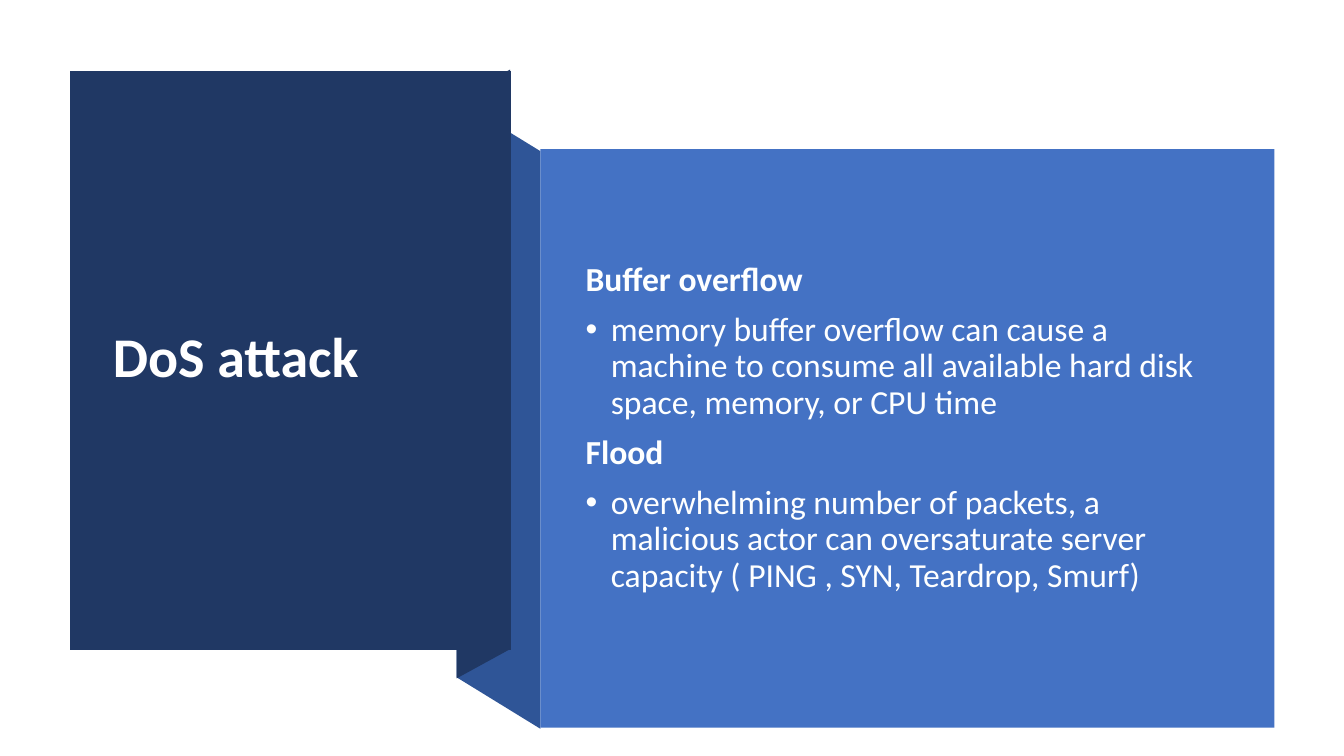
import pptx
import pptx.util
import pptx.dml.color
import pptx.enum.shapes
import pptx.enum.text
import pptx.oxml.ns
import lxml.etree

Inches = pptx.util.Inches
Pt = pptx.util.Pt

COLORS = {
    "navy": "203864",
    "fold": "2F5597",
    "panel": "4472C4",
    "title": "FFFFFF",
    "body": "FEFFFF",
}
FONT = "Calibri"
TITLE = "DoS attack"
TITLE_BOX = (1.02, 1.07, 3.71, 4.99)
PANEL_BOX = (5.36, 1.48, 7.28, 5.74)
BODY_BOX = (5.71, 1.88, 6.51, 4.74)
RIBBON = [
    ("fold", [(5.36, 7.23), (4.53, 6.72), (4.53, 0.99), (5.36, 1.5)]),
    ("navy", [(5.06, 6.44), (4.53, 6.73), (4.53, 0.98), (5.06, 0.69)]),
    ("navy", [(0.69, 0.7), (5.07, 0.7), (5.07, 6.45), (0.69, 6.45)]),
]
ATTACKS = [
    ("Buffer overflow",
     "memory buffer overflow can cause a machine to consume all available "
     "hard disk space, memory, or CPU time"),
    ("Flood",
     "overwhelming number of packets, a malicious actor can oversaturate "
     "server capacity ( PING , SYN, Teardrop, Smurf)"),
]


def rgb(name):
    return pptx.dml.color.RGBColor.from_string(COLORS[name])


def paint(shape, color):
    shape.shadow.inherit = False
    shape.fill.solid()
    shape.fill.fore_color.rgb = rgb(color)
    shape.line.fill.background()


def add_outline(slide, color, points):
    corners = [(Inches(x), Inches(y)) for x, y in points]
    builder = slide.shapes.build_freeform(*corners[0], scale=1.0)
    builder.add_line_segments(corners[1:], close=True)
    paint(builder.convert_to_shape(), color)


def prepare_frame(shape):
    frame = shape.text_frame
    frame.word_wrap = True
    frame.auto_size = pptx.enum.text.MSO_AUTO_SIZE.NONE
    frame.vertical_anchor = pptx.enum.text.MSO_ANCHOR.MIDDLE
    return frame


def add_bullet(paragraph):
    properties = paragraph._p.get_or_add_pPr()
    properties.set("marL", str(Inches(0.25)))
    properties.set("indent", str(Inches(-0.25)))
    for tag, key, value in (("a:buFont", "typeface", "Arial"), ("a:buChar", "char", "•")):
        lxml.etree.SubElement(properties, pptx.oxml.ns.qn(tag)).set(key, value)


def write(paragraph, text, size, color, bold):
    paragraph.alignment = pptx.enum.text.PP_ALIGN.LEFT
    paragraph.line_spacing = 0.9
    run = paragraph.add_run()
    run.text = text
    run.font.name = FONT
    run.font.size = Pt(size)
    run.font.bold = bold
    run.font.color.rgb = rgb(color)


def add_title(slide):
    title = slide.shapes.title
    title.left, title.top, title.width, title.height = map(Inches, TITLE_BOX)
    write(prepare_frame(title).paragraphs[0], TITLE, 40, "title", True)
    title.element.getparent().append(title.element)


def add_body(slide):
    frame = prepare_frame(slide.shapes.add_textbox(*map(Inches, BODY_BOX)))
    lines = [(text, position == 0) for attack in ATTACKS
             for position, text in enumerate(attack)]
    for index, (text, heading) in enumerate(lines):
        paragraph = frame.add_paragraph() if index else frame.paragraphs[0]
        if not heading:
            add_bullet(paragraph)
        if index:
            paragraph.space_before = Pt(10)
        write(paragraph, text, 24, "body", heading)


def main():
    presentation = pptx.Presentation()
    presentation.slide_width = Inches(13.33)
    presentation.slide_height = Inches(7.5)
    slide = presentation.slides.add_slide(presentation.slide_layouts[5])
    for color, points in RIBBON:
        add_outline(slide, color, points)
    add_title(slide)
    panel = slide.shapes.add_shape(
        pptx.enum.shapes.MSO_SHAPE.RECTANGLE, *map(Inches, PANEL_BOX))
    paint(panel, "panel")
    add_body(slide)
    presentation.save("out.pptx")


if __name__ == "__main__":
    main()
